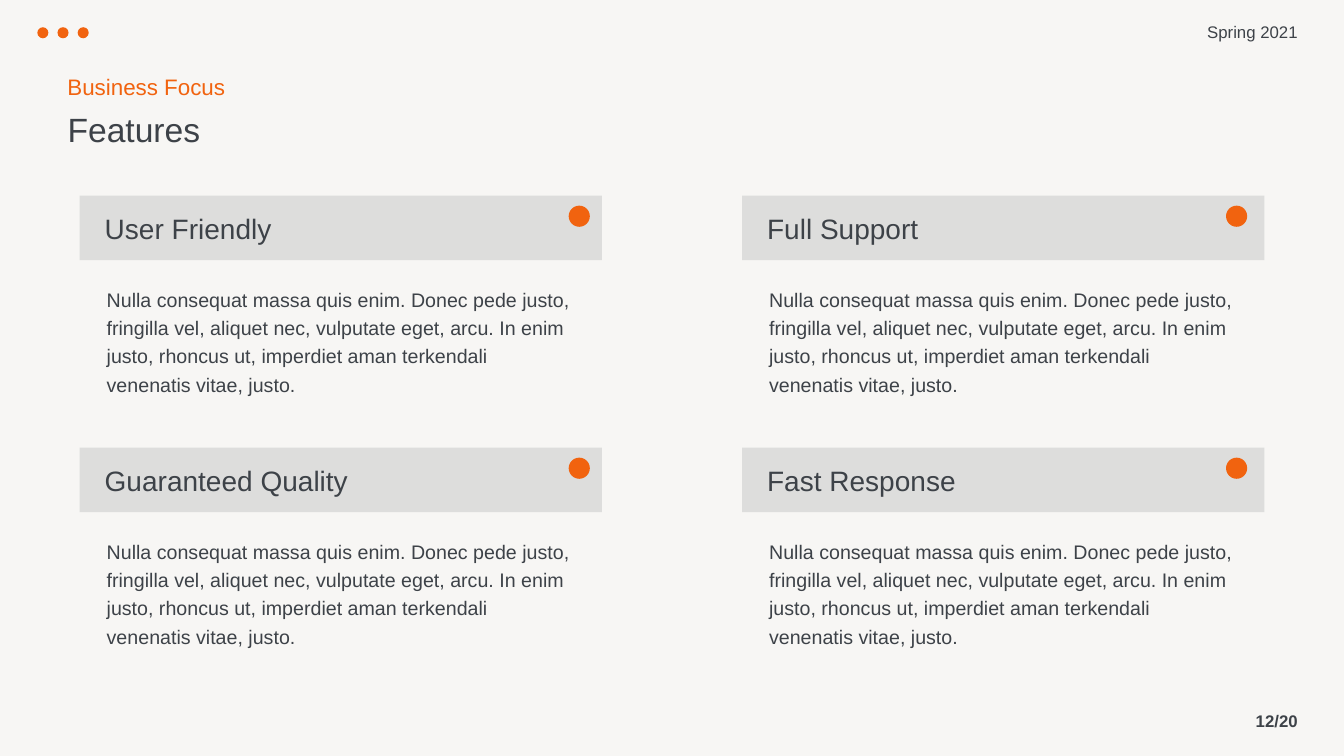
from pptx import Presentation
from pptx.dml.color import RGBColor
from pptx.enum.shapes import MSO_SHAPE as Shape
from pptx.enum.text import MSO_ANCHOR as Anchor, MSO_AUTO_SIZE as AutoSize, PP_ALIGN as Align
from pptx.util import Inches, Pt

COLORS = {"paper": "F7F6F4", "ink": "3D4248", "accent": "F1630F", "bar": "DDDDDC"}
BODY = ("Nulla consequat massa quis enim. Donec pede justo, fringilla vel, "
        "aliquet nec, vulputate eget, arcu. In enim justo, rhoncus ut, "
        "imperdiet aman terkendali venenatis vitae, justo.")
FEATURES = [["User Friendly", "Full Support"],
            ["Guaranteed Quality", "Fast Response"]]
COLUMNS = [(0.79, 5.64), (7.36, 12.16)]  # left edge of bar, left edge of dot
FIRST_ROW, ROW_STEP = 1.94, 2.5


class SlideBuilder:
    font = "Arial"

    def __init__(self, prs):
        self.slide = prs.slides.add_slide(prs.slide_layouts[5])
        fill = self.slide.background.fill
        fill.solid()
        fill.fore_color.rgb = self.color("paper")

    def color(self, name):
        return RGBColor.from_string(COLORS[name])

    def add_text(self, sp, text, size, color="ink", bold=False,
                 align=Align.LEFT, anchor=Anchor.TOP, spacing=1.0):
        tf = sp.text_frame
        tf.word_wrap = True
        tf.auto_size = AutoSize.NONE
        tf.vertical_anchor = anchor
        p = tf.paragraphs[0]
        p.alignment = align
        p.line_spacing = spacing
        r = p.add_run()
        r.text = text
        r.font.name = self.font
        r.font.size = Pt(size)
        r.font.bold = bold
        r.font.color.rgb = self.color(color)

    def title(self, x, y, w, h, text, size):
        sp = self.slide.shapes.title
        sp.left, sp.top, sp.width, sp.height = map(Inches, (x, y, w, h))
        self.add_text(sp, text, size, anchor=Anchor.BOTTOM)

    def text(self, x, y, w, h, text, size, **style):
        sp = self.slide.shapes.add_textbox(*map(Inches, (x, y, w, h)))
        self.add_text(sp, text, size, **style)

    def shape(self, kind, x, y, w, h, color):
        sp = self.slide.shapes.add_shape(kind, *map(Inches, (x, y, w, h)))
        sp.shadow.inherit = False
        sp.fill.solid()
        sp.fill.fore_color.rgb = self.color(color)
        sp.line.fill.background()

    def dot(self, x, y, size):
        self.shape(Shape.OVAL, x, y, size, size, "accent")

    def feature(self, x, y, dot_x, heading):
        self.shape(Shape.RECTANGLE, x, y, 5.18, 0.64, "bar")
        self.text(x + 0.17, y + 0.82, 4.84, 1.21, BODY, 14, spacing=1.2)
        self.text(x + 0.15, y + 0.1, 4.15, 0.44, heading, 20, anchor=Anchor.BOTTOM)
        self.dot(dot_x, y + 0.1, 0.21)


def main():
    prs = Presentation()
    prs.slide_width, prs.slide_height = Inches(13.33), Inches(7.5)
    s = SlideBuilder(prs)

    # Page corners
    s.text(9.97, 6.95, 3, 0.4, "12/20", 12, bold=True,
           align=Align.RIGHT, anchor=Anchor.MIDDLE)
    s.text(11.39, 0.12, 1.58, 0.4, "Spring 2021", 12,
           align=Align.RIGHT, anchor=Anchor.MIDDLE)
    for i in range(3):
        s.dot(0.37 + i * 0.2, 0.27, 0.11)

    # Heading
    s.text(0.57, 0.68, 3.55, 0.37, "Business Focus", 16, color="accent")
    s.title(0.57, 1.03, 4.52, 0.5, "Features", 24)

    # Feature grid
    for row, headings in enumerate(FEATURES):
        for (x, dot_x), heading in zip(COLUMNS, headings):
            s.feature(x, FIRST_ROW + row * ROW_STEP, dot_x, heading)

    prs.save("out.pptx")


if __name__ == "__main__":
    main()
